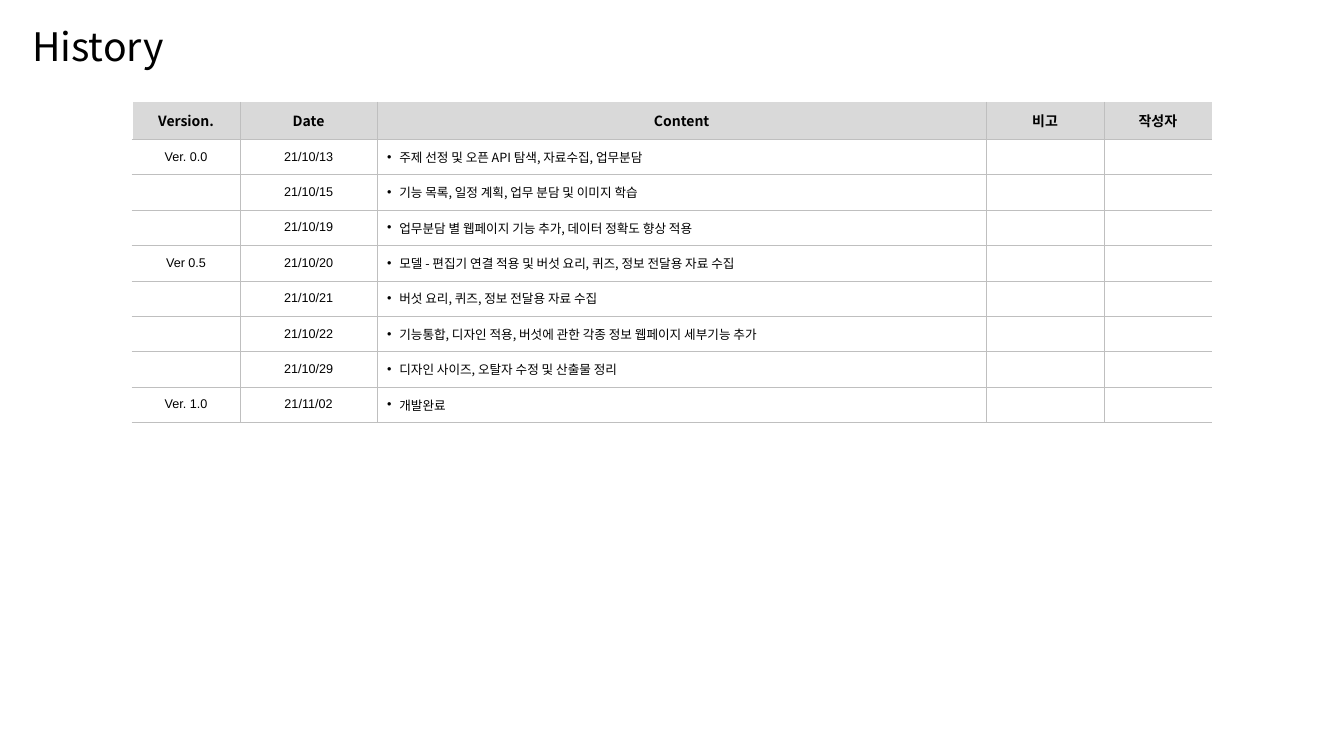
from lxml.etree import SubElement
from pptx import Presentation
from pptx.dml.color import RGBColor
from pptx.enum.text import MSO_ANCHOR, PP_ALIGN
from pptx.oxml import parse_xml
from pptx.oxml.ns import qn
from pptx.util import Pt

BLACK = RGBColor(0x00, 0x00, 0x00)
WHITE = RGBColor(0xFF, 0xFF, 0xFF)
HEADER_GRAY = RGBColor(0xD9, 0xD9, 0xD9)
LINE_GRAY = RGBColor(0xBF, 0xBF, 0xBF)

KOREAN_FONT = "Noto Sans CJK KR"
TITLE = {"name": KOREAN_FONT, "size": Pt(28), "bold": False}
HEADER = {"name": KOREAN_FONT, "size": Pt(10), "bold": True}
LABEL = {"name": "Arial", "size": Pt(9), "bold": False}
CONTENT = {"name": KOREAN_FONT, "size": Pt(9), "bold": False}

COLUMN_WIDTHS = (77, 98, 435, 84.2, 77)
HEADER_HEIGHT = 26.6
ROW_HEIGHT = 25.3
CONTENT_COLUMN = 2

HEADINGS = ("Version.", "Date", "Content", "비고", "작성자")
HISTORY = (
    ("Ver. 0.0", "21/10/13", "주제 선정 및 오픈 API 탐색, 자료수집, 업무분담"),
    ("", "21/10/15", "기능 목록, 일정 계획, 업무 분담 및 이미지 학습"),
    ("", "21/10/19", "업무분담 별 웹페이지 기능 추가, 데이터 정확도 향상 적용"),
    ("Ver 0.5", "21/10/20", "모델 - 편집기 연결 적용 및 버섯 요리, 퀴즈, 정보 전달용 자료 수집"),
    ("", "21/10/21", "버섯 요리, 퀴즈, 정보 전달용 자료 수집"),
    ("", "21/10/22", "기능통합, 디자인 적용, 버섯에 관한 각종 정보 웹페이지 세부기능 추가"),
    ("", "21/10/29", "디자인 사이즈, 오탈자 수정 및 산출물 정리"),
    ("Ver. 1.0", "21/11/02", "개발완료"),
)


class HistorySlide:
    def __init__(self, presentation):
        self.slide = presentation.slides.add_slide(presentation.slide_layouts[6])
        self.text_color = BLACK

    def add_text(self, paragraph, text, style):
        if not text:
            end = SubElement(paragraph._p, qn("a:endParaRPr"))
            end.set("sz", str(style["size"].centipoints))
            return
        run = paragraph.add_run()
        run.text = text
        for attribute, value in style.items():
            setattr(run.font, attribute, value)
        run.font.color.rgb = self.text_color
        east_asian = SubElement(run.font._element, qn("a:ea"))
        east_asian.set("typeface", style["name"])

    def add_title(self, text, left, top, width, height):
        shape = self.slide.shapes.add_textbox(Pt(left), Pt(top), Pt(width), Pt(height))
        frame = shape.text_frame
        frame.word_wrap = True
        frame.vertical_anchor = MSO_ANCHOR.MIDDLE
        paragraph = frame.paragraphs[0]
        paragraph.line_spacing = 0.9
        self.add_text(paragraph, text, TITLE)

    def add_bullet(self, paragraph):
        properties = paragraph._p.get_or_add_pPr()
        properties.set("marL", str(Pt(8.64)))
        properties.set("indent", str(-Pt(8.64)))
        SubElement(properties, qn("a:buFont")).set("typeface", "Arial")
        SubElement(properties, qn("a:buChar")).set("char", "•")

    def set_borders(self, cell, borders):
        properties = cell._tc.get_or_add_tcPr()
        for position, (side, border) in enumerate(borders.items()):
            width, color = border or (0, None)
            fill = f'<a:solidFill><a:srgbClr val="{color}"/></a:solidFill>' if color else "<a:noFill/>"
            line = parse_xml(
                f'<a:ln{side} xmlns:a="http://schemas.openxmlformats.org/drawingml/2006/main"'
                f' w="{Pt(width)}">{fill}</a:ln{side}>'
            )
            properties.insert(position, line)

    def fill_cell(self, cell, text, row, column, last_column):
        is_header = row == 0
        is_content = column == CONTENT_COLUMN and not is_header
        cell.vertical_anchor = MSO_ANCHOR.MIDDLE
        if is_header:
            cell.fill.solid()
            cell.fill.fore_color.rgb = HEADER_GRAY
        else:
            cell.fill.background()
        paragraph = cell.text_frame.paragraphs[0]
        if is_content:
            self.add_bullet(paragraph)
        else:
            paragraph.alignment = PP_ALIGN.CENTER
        self.add_text(paragraph, text, HEADER if is_header else CONTENT if is_content else LABEL)
        grid = (0.25, LINE_GRAY)
        self.set_borders(cell, {
            "L": (1, WHITE) if column == 0 else grid,
            "R": None if column == last_column else grid,
            "T": None if is_header else grid,
            "B": grid,
        })

    def add_history_table(self, left, top):
        rows = [HEADINGS] + [entry + ("", "") for entry in HISTORY]
        heights = [HEADER_HEIGHT] + [ROW_HEIGHT] * len(HISTORY)
        table = self.slide.shapes.add_table(
            len(rows), len(COLUMN_WIDTHS), Pt(left), Pt(top),
            Pt(sum(COLUMN_WIDTHS)), Pt(sum(heights)),
        ).table
        table.first_row = False
        table.horz_banding = False
        for column, width in zip(table.columns, COLUMN_WIDTHS):
            column.width = Pt(width)
        for row, (texts, height) in enumerate(zip(rows, heights)):
            table.rows[row].height = Pt(height)
            for column, text in enumerate(texts):
                self.fill_cell(table.cell(row, column), text, row, column, len(texts) - 1)


def main():
    presentation = Presentation()
    presentation.slide_width = Pt(960)
    presentation.slide_height = Pt(540)
    history = HistorySlide(presentation)
    history.add_history_table(94.4, 72.8)
    history.add_title("History", 16, 12, 899, 45.4)
    presentation.save("out.pptx")


if __name__ == "__main__":
    main()
